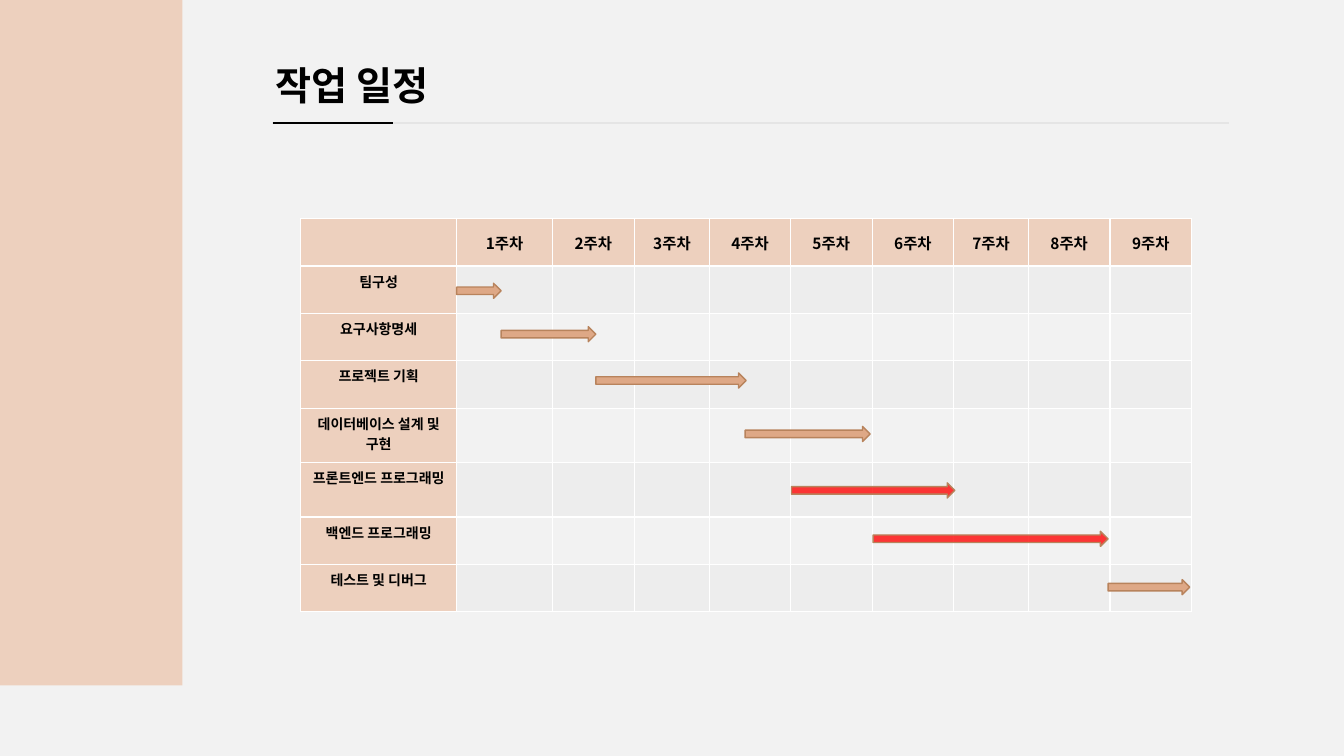
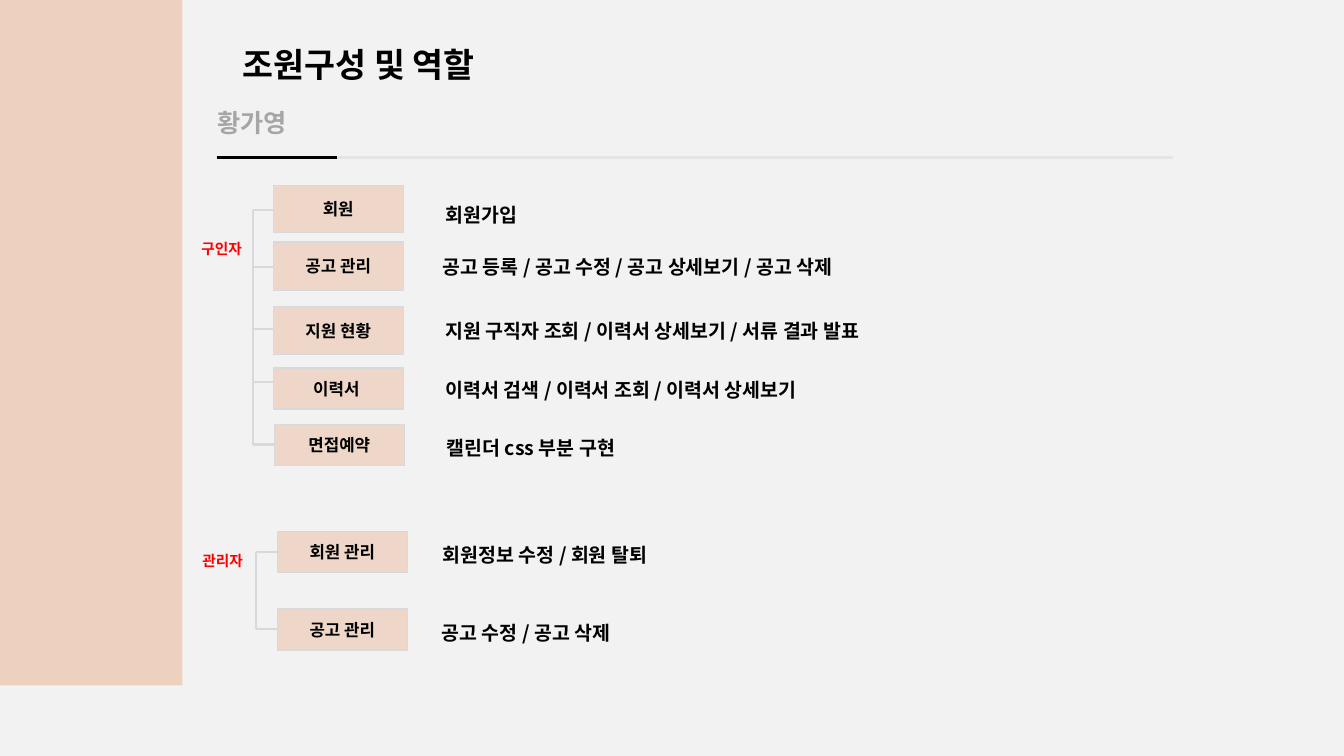
from dataclasses import dataclass

from lxml import etree
from pptx import Presentation
from pptx.dml.color import RGBColor
from pptx.enum.shapes import MSO_CONNECTOR, MSO_SHAPE
from pptx.enum.text import MSO_ANCHOR, MSO_AUTO_SIZE, PP_ALIGN
from pptx.oxml.ns import qn
from pptx.util import Inches, Pt

RECT, ARROW = MSO_SHAPE.RECTANGLE, MSO_SHAPE.RIGHT_ARROW
STRAIGHT = MSO_CONNECTOR.STRAIGHT
LEFT, CENTER = PP_ALIGN.LEFT, PP_ALIGN.CENTER
TOP, MIDDLE = MSO_ANCHOR.TOP, MSO_ANCHOR.MIDDLE
GROW, FIXED = MSO_AUTO_SIZE.SHAPE_TO_FIT_TEXT, MSO_AUTO_SIZE.NONE


@dataclass(frozen=True)
class Theme:
    font: str = "Noto Sans CJK KR"
    # Colours
    page: str = "F2F2F2"
    peach: str = "EDD0BE"
    stripe: str = "EDEDED"
    white: str = "FFFFFF"
    ink: str = "000000"
    muted: str = "A6A6A6"
    rule: str = "E5E5E5"
    tree: str = "D9D9D9"
    bar: str = "DEA886"
    bar_line: str = "B8835C"
    red: str = "FF0000"
    # Type sizes
    title: float = 28
    long_title: float = 24
    subtitle: float = 18
    body: float = 13.9
    node: float = 12
    head: float = 11
    role: float = 10.5
    task: float = 10


THEME = Theme()


def rgb(color):
    return RGBColor.from_string(color)


class Deck:
    """Holds the presentation, its style and the current slide."""

    def __init__(self, theme):
        self.theme = theme
        self.prs = Presentation()
        self.prs.slide_width, self.prs.slide_height = Inches(13.33), Inches(7.5)
        fill = self.prs.slide_master.background.fill
        fill.solid()
        fill.fore_color.rgb = rgb(theme.page)

    def new_slide(self, title, size, left, top, height, rule_left, rule_top):
        """Start a slide with its title, side band and two-tone rule."""
        self.slide = self.prs.slides.add_slide(self.prs.slide_layouts[5])
        sp = self.slide.shapes.title
        box = dict(left=left, top=top, width=4.76, height=height)
        for name, value in box.items():
            setattr(sp, name, Inches(value))
        self.set_text(sp.text_frame, title, size, spacing=1.5, auto_size=GROW)
        self.shape(RECT, 0, -0.02, 1.81, 6.82, self.theme.peach)
        self.line(rule_left, rule_top, rule_left + 9.49, rule_top, self.theme.rule, 2)
        self.line(rule_left + 0.01, rule_top, rule_left + 1.2, rule_top, self.theme.ink, 2)

    def set_text(self, tf, text, size, color=THEME.ink, align=LEFT, spacing=None, **frame):
        for name, value in {"word_wrap": True, "vertical_anchor": TOP, **frame}.items():
            setattr(tf, name, value)
        p = tf.paragraphs[0]
        p.alignment, p.line_spacing = align, spacing
        r = p.add_run()
        r.text = text
        style = dict(size=Pt(size), bold=True, name=self.theme.font)
        for name, value in style.items():
            setattr(r.font, name, value)
        r.font.color.rgb = rgb(color)
        etree.SubElement(r._r.get_or_add_rPr(), qn("a:ea"), typeface=self.theme.font)

    def text(self, left, top, width, height, text, size, color=THEME.ink,
             inset=None, **style):
        sp = self.slide.shapes.add_textbox(*map(Inches, (left, top, width, height)))
        tf = sp.text_frame
        if inset is not None:
            for side in ("left", "top", "right", "bottom"):
                setattr(tf, f"margin_{side}", Inches(inset))
        self.set_text(tf, text, size, color, **style)

    def shape(self, kind, left, top, width, height, fill, line=None, alpha=None):
        sp = self.slide.shapes.add_shape(kind, *map(Inches, (left, top, width, height)))
        sp.shadow.inherit = False
        sp.fill.solid()
        sp.fill.fore_color.rgb = rgb(fill)
        if alpha:
            color = sp._element.spPr.find(qn("a:solidFill"))[0]
            etree.SubElement(color, qn("a:alpha"), val=str(alpha * 1000))
        if line:
            sp.line.color.rgb = rgb(line)
            sp.line.width = Pt(1)
        else:
            sp.line.fill.background()
        return sp

    def line(self, x1, y1, x2, y2, color, width):
        cx = self.slide.shapes.add_connector(STRAIGHT, *map(Inches, (x1, y1, x2, y2)))
        cx.line.color.rgb = rgb(color)
        cx.line.width = Pt(width)
        etree.SubElement(cx._element.spPr, qn("a:effectLst"))

    def cell(self, cell, fill):
        """Give a table cell white borders and a fill (None for clear)."""
        tc_pr = cell._tc.get_or_add_tcPr()
        for side in "LRTB":
            ln = etree.SubElement(tc_pr, qn(f"a:ln{side}"), w=str(int(Pt(1))))
            solid = etree.SubElement(ln, qn("a:solidFill"))
            etree.SubElement(solid, qn("a:srgbClr"), val=self.theme.white)
        if fill:
            cell.fill.solid()
            cell.fill.fore_color.rgb = rgb(fill)
        else:
            cell.fill.background()

    def schedule(self, left, top, col_widths, row_heights, tasks):
        """Draw the week grid: header row, task column, striped body."""
        size = (sum(col_widths), sum(row_heights))
        table = self.slide.shapes.add_table(
            len(row_heights), len(col_widths), *map(Inches, (left, top, *size))).table
        for col, width in zip(table.columns, col_widths):
            col.width = Inches(width)
        for i, height in enumerate(row_heights):
            table.rows[i].height = Inches(height)
            for j in range(len(col_widths)):
                cell = table.cell(i, j)
                header = i == 0 or j == 0
                stripe = self.theme.stripe if i % 2 else None
                self.cell(cell, self.theme.peach if header else stripe)
                if i == 0 and j:
                    self.set_text(cell.text_frame, f"{j}주차", self.theme.head, align=CENTER)
                    cell.vertical_anchor = MIDDLE
                elif i and j == 0:
                    self.set_text(cell.text_frame, tasks[i - 1], self.theme.task,
                                  align=CENTER)

    def node(self, left, top, height, label):
        sp = self.shape(RECT, left, top, 1.29, height, self.theme.peach, self.theme.tree, 79)
        self.set_text(sp.text_frame, label, self.theme.node, align=CENTER,
                      vertical_anchor=MIDDLE)

    def role(self, name, left, top, trunk, nodes):
        """Draw a role label, its bracket, and a box and description per node."""
        self.text(left, top, 0.84, 0.28, name, self.theme.role, self.theme.red,
                  auto_size=GROW)
        branches = [node[3] for node in nodes]
        self.line(trunk, branches[0], trunk, branches[-1], self.theme.tree, 1.5)
        for box_left, box_top, height, branch, label, text_left, text_top, text in nodes:
            self.line(trunk, branch, box_left, branch, self.theme.tree, 1.5)
            self.node(box_left, box_top, height, label)
            self.text(text_left, text_top, 7.98, 0.4, text, self.theme.body,
                      inset=0.04, spacing=1.3, auto_size=FIXED)


# Task, then its bar: left, top, width, critical
SCHEDULE = [
    ("팀구성", 4.53, 2.81, 0.44, False),
    ("요구사항명세", 4.97, 3.24, 0.94, False),
    ("프로젝트 기획", 5.91, 3.7, 1.49, False),
    ("데이터베이스 설계 및 구현", 7.39, 4.23, 1.24, False),
    ("프론트엔드 프로그래밍", 7.85, 4.79, 1.62, True),
    ("백엔드 프로그래밍", 8.66, 5.27, 2.33, True),
    ("테스트 및 디버그", 10.99, 5.75, 0.81, False),
]
COL_WIDTHS = [1.55, 0.95, 0.81, 0.75, 0.8, 0.81, 0.81, 0.74, 0.81, 0.81]
ROW_HEIGHTS = [0.47] * 4 + [0.54] * 2 + [0.47] * 2

# Box left, top, height, branch height, label; description left, top, text
EMPLOYER = [
    (2.71, 1.84, 0.47, 2.08, "회원", 4.38, 1.91, "회원가입"),
    (2.71, 2.4, 0.48, 2.65, "공고 관리", 4.35, 2.42,
     "공고 등록 / 공고 수정 / 공고 상세보기 / 공고 삭제"),
    (2.71, 3.04, 0.48, 3.26, "지원 현황", 4.38, 3.06,
     "지원 구직자 조회 / 이력서 상세보기 / 서류 결과 발표"),
    (2.71, 3.65, 0.41, 3.79, "이력서 ", 4.38, 3.64,
     "이력서 검색 / 이력서 조회 / 이력서 상세보기"),
    (2.72, 4.21, 0.41, 4.41, "면접예약", 4.39, 4.22, "캘린더 css 부분 구현"),
]
ADMIN = [
    (2.75, 5.27, 0.41, 5.48, "회원 관리", 4.35, 5.28, "회원정보 수정 / 회원 탈퇴"),
    (2.75, 6.04, 0.41, 6.24, "공고 관리", 4.34, 6.05, "공고 수정 / 공고 삭제"),
]


def main():
    deck = Deck(THEME)

    # Schedule
    deck.new_slide("작업 일정", THEME.title, 2.63, 0.32, 0.81, 2.7, 1.22)
    deck.schedule(2.98, 2.17, COL_WIDTHS, ROW_HEIGHTS, [row[0] for row in SCHEDULE])
    for _, left, top, width, critical in SCHEDULE:
        fill, alpha = (THEME.red, 78) if critical else (THEME.bar, None)
        deck.shape(ARROW, left, top, width, 0.15, fill, THEME.bar_line, alpha)

    # Team roles
    deck.new_slide("조원구성 및 역할", THEME.long_title, 2.31, 0.19, 0.71, 2.14, 1.56)
    deck.text(2.06, 1.02, 1.65, 0.4, "황가영", THEME.subtitle, THEME.muted, auto_size=GROW)
    deck.role("구인자", 1.9, 2.33, 2.51, EMPLOYER)
    deck.role("관리자", 1.91, 5.43, 2.54, ADMIN)

    deck.prs.save("out.pptx")


if __name__ == "__main__":
    main()
